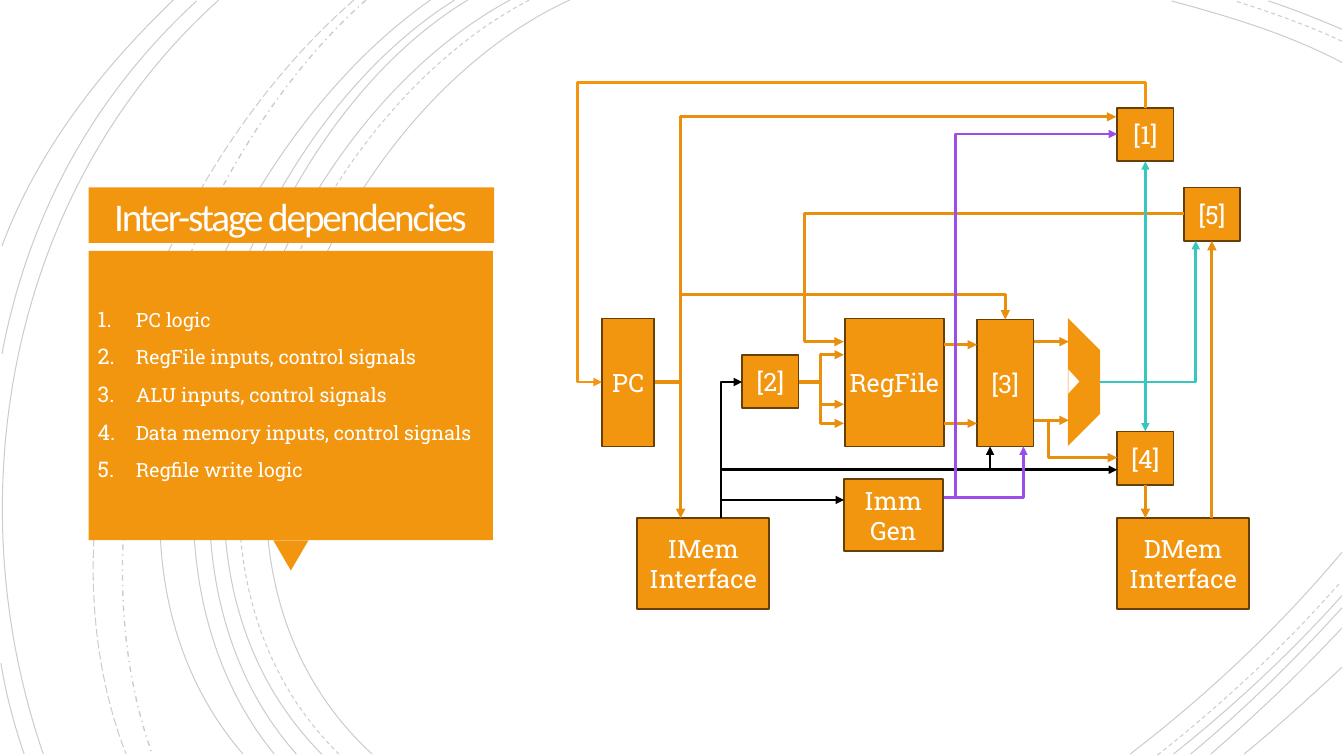
from lxml.etree import SubElement
from pptx import Presentation
from pptx.dml.color import RGBColor
from pptx.enum.dml import MSO_LINE as DASH
from pptx.enum.shapes import MSO_CONNECTOR as CONNECTOR, MSO_SHAPE as SHAPE
from pptx.enum.text import MSO_ANCHOR as ANCHOR, PP_ALIGN as ALIGN
from pptx.oxml.ns import qn
from pptx.util import Pt

PX = 9144  # 100 px to the inch
ORANGE, WIRE, EDGE = "F3960F", "E88F0E", "663F07"
BLACK, PURPLE, TEAL, WHITE = "000000", "9D4DE7", "39C6BE", "FFFFFF"

# Backdrop arcs: start, two control points, end
ARCS = {
    (DASH.SOLID, 0.75): [
        ((565, 0), (315, 115), (143, 540), (369, 748)),
        ((1331, 62), (1278, 34), (1218, 16), (1162, 1)),
        ((1121, 748), (1197, 690), (1269, 622), (1331, 548)),
        ((506, 0), (270, 127), (110, 537), (319, 748)),
        ((1331, 29), (1307, 19), (1283, 9), (1258, 1)),
        ((1164, 748), (1223, 701), (1280, 648), (1331, 591)),
        ((464, 0), (244, 133), (110, 541), (294, 748)),
        ((1181, 748), (1234, 704), (1284, 655), (1331, 603)),
        ((451, 0), (231, 138), (97, 533), (272, 748)),
        ((1201, 748), (1246, 709), (1290, 667), (1331, 623)),
        ((427, 0), (217, 147), (53, 529), (241, 748)),
        ((1234, 748), (1267, 721), (1299, 692), (1331, 662)),
        ((217, 0), (11, 185), (-46, 490), (43, 748)),
        ((195, 1), (92, 96), (28, 214), (2, 351)),
        ((1, 658), (6, 689), (14, 719), (24, 748)),
        ((172, 0), (100, 69), (37, 150), (2, 244)),
    ],
    (DASH.DASH, 0.75): [
        ((525, 0), (285, 125), (123, 537), (336, 748)),
        ((1331, 41), (1297, 25), (1260, 12), (1225, 1)),
        ((1148, 749), (1213, 698), (1275, 640), (1330, 577)),
    ],
    (DASH.DASH_DOT, 1): [((363, 0), (176, 166), (65, 509), (151, 748))],
    (DASH.LONG_DASH, 0.75): [((351, 0), (157, 169), (29, 499), (125, 748))],
}

# Datapath blocks: label, left, top, width, height
BLOCKS = [
    ("PC", 27, 236, 52, 127), ("IMem Interface", 62, 434, 131, 90),
    ("RegFile", 268, 236, 98, 127), ("Imm\nGen", 267, 395, 98, 72),
    ("DMem Interface", 538, 434, 131, 90), ("[1]", 538, 27, 56, 53),
    ("[2]", 166, 272, 56, 53), ("[3]", 399, 237, 56, 126),
    ("[4]", 538, 348, 56, 53), ("[5]", 604, 106, 56, 53),
]

# Datapath wires by colour and width: corner points of each
WIRES = {
    (WIRE, 2.25): [
        [(80, 299), (105, 299), (105, 434)],
        *[[(222, 299), (244, 299), (244, y), (267, y)] for y in (272, 321, 340)],
        *[[(366, y), (399, y)] for y in (262, 340)],
        *[[(456, y), (490, y)] for y in (259, 337)],
        [(105, 299), (105, 212), (427, 212), (427, 237)],
        [(604, 132), (228, 132), (228, 259), (267, 259)],
        [(456, 337), (470, 337), (470, 374), (538, 374)],
        [(105, 212), (105, 36), (537, 36)],
    ],
    (ORANGE, 2): [[(566, 27), (566, 2), (3, 2), (3, 299), (27, 299)]],
    (BLACK, 2): [
        [(145, 434), (145, 299), (166, 299)],
        [(145, 434), (145, 416), (267, 416)],
        [(145, 386), (412, 386), (412, 363)],
        [(412, 386), (538, 386)],
    ],
    (PURPLE, 2): [
        [(366, 414), (445, 414), (445, 363)],
        [(378, 414), (378, 53), (538, 53)],
    ],
    (TEAL, 2): [
        [(521, 299), (566, 299), (566, 348)],
        [(521, 299), (616, 299), (616, 159)],
    ],
}


def px(*lengths):
    return [round(length * PX) for length in lengths]


def rgb(code):
    return RGBColor.from_string(code)


def write(shape, text, size=18, font="Roboto Slab", color=WHITE, align=ALIGN.CENTER,
          inset=None, before=0, spacing=None, tracking=None, numbered=False):
    frame = shape.text_frame
    frame.word_wrap = True
    frame.vertical_anchor = ANCHOR.MIDDLE
    if inset is not None:
        frame.margin_left = frame.margin_top = inset * PX
        frame.margin_right = frame.margin_bottom = inset * PX
    frame.text = text
    for para in frame.paragraphs:
        para.alignment, para.space_before, para.line_spacing = align, Pt(before), spacing
        run = para.runs[0]
        run.font.size, run.font.name, run.font.color.rgb = Pt(size), font, rgb(color)
        if tracking:
            run.font._element.set("spc", str(tracking))
        if numbered:
            props = para._p.get_or_add_pPr()
            props.set("marL", str(38 * PX))
            props.set("indent", str(-38 * PX))
            SubElement(SubElement(props, qn("a:buClr")), qn("a:srgbClr"), val=color)
            SubElement(props, qn("a:buSzPct"), val="110000")
            SubElement(props, qn("a:buFont"), typeface="+mj-lt")
            SubElement(props, qn("a:buAutoNum"), type="arabicPeriod")


def block(slide, kind, left, top, width, height, fill=ORANGE, edge=None, turn=0):
    shape = slide.shapes.add_shape(kind, *px(left, top, width, height))
    shape.shadow.inherit = False
    shape.rotation = turn
    shape.fill.solid()
    shape.fill.fore_color.rgb = rgb(fill)
    if edge:
        shape.line.color.rgb, shape.line.width = rgb(edge), Pt(1.25)
    else:
        shape.line.fill.background()
    return shape


def wire(slide, corners, color, width):
    (x0, y0), (x1, y1) = corners[0], corners[-1]
    bends = len(corners) - 2
    upright = bends and corners[1][0] == x0
    start, end = (x0, y0), (x1, y1)
    if upright:  # an elbow that leaves vertically is a horizontal one turned by 90°
        mid_x, mid_y, run, rise = (x0 + x1) / 2, (y0 + y1) / 2, y1 - y0, x0 - x1
        start = mid_x - run / 2, mid_y - rise / 2
        end = mid_x + run / 2, mid_y + rise / 2
    kind = CONNECTOR.ELBOW if bends else CONNECTOR.STRAIGHT
    line = slide.shapes.add_connector(kind, *px(*start, *end))
    line.line.color.rgb, line.line.width = rgb(color), Pt(width)
    props = line._element.spPr
    if upright:
        props.find(qn("a:xfrm")).set("rot", "5400000")
    if bends:
        geometry = props.find(qn("a:prstGeom"))
        geometry.set("prst", f"bentConnector{bends + 1}")
        guides = geometry.find(qn("a:avLst"))
        for i in range(1, bends):
            axis = (i - 1 + bool(upright)) % 2
            share = (corners[i + axis * 0][axis] - corners[0][axis]) / (corners[-1][axis] - corners[0][axis])
            SubElement(guides, qn("a:gd"), name=f"adj{i}", fmla=f"val {round(share * 100000)}")
    SubElement(props.find(qn("a:ln")), qn("a:tailEnd"), type="triangle")
    SubElement(props, qn("a:effectLst"))
    return line


def backdrop(slide):
    for (dash, width), arcs in ARCS.items():
        for start, *rest in arcs:
            builder = slide.shapes.build_freeform(*start, scale=PX)
            builder.add_line_segments(rest, close=False)
            arc = builder.convert_to_shape()
            arc.shadow.inherit = False
            arc.fill.background()
            arc.line.color.rgb, arc.line.width = rgb(BLACK), Pt(width)
            arc.line.dash_style = dash
            tint = next(arc.line._ln.iter(qn("a:srgbClr")))
            SubElement(tint, qn("a:alpha"), val="20000")
            # Turn the three segments into one curve
            outline = next(arc._element.iter(qn("a:path")))
            segments = outline.findall(qn("a:lnTo"))
            curve = SubElement(outline, qn("a:cubicBezTo"))
            for segment in segments:
                curve.append(segment[0])
                outline.remove(segment)


def topic_panel(slide, left, top):
    block(slide, SHAPE.RECTANGLE, left, top, 402, 55)
    block(slide, SHAPE.ISOSCELES_TRIANGLE, left + 183, top + 350, 35, 30, turn=180)
    block(slide, SHAPE.RECTANGLE, left, top + 63, 401, 287)
    topics = slide.shapes.add_textbox(*px(left - 1, top + 61, 402, 289))
    write(topics, "PC logic\nRegFile inputs, control signals\nALU inputs, control signals\n"
          "Data memory inputs, control signals\nRegfile write logic",
          size=14, align=ALIGN.LEFT, before=10, numbered=True)
    title = slide.shapes.title
    title.left, title.top, title.width, title.height = px(left - 1, top + 2, 402, 60)
    write(title, "Inter-stage dependencies", size=28, font="Calibri", color="FFFEFF",
          inset=25, spacing=0.85, tracking=-150)
    slide.shapes._spTree.append(title._element)  # in front of its bar


def datapath(slide, left, top):
    blocks = {}
    for label, x, y, width, height in BLOCKS:
        blocks[label] = block(slide, SHAPE.RECTANGLE, left + x, top + y, width, height, edge=EDGE)
        write(blocks[label], label, inset=None if "Interface" in label else 4)

    # ALU with its notch
    alu = block(slide, SHAPE.DIAGONAL_STRIPE, left + 444, top + 254, 90, 90, turn=135)
    alu.adjustments[0] = 0.496
    block(slide, SHAPE.ISOSCELES_TRIANGLE, left + 483, top + 293, 24, 11, fill=WHITE, turn=90)

    def route(corners, color, width):
        return wire(slide, [(left + x, top + y) for x, y in corners], color, width)

    for (color, width), routes in WIRES.items():
        for corners in routes:
            route(corners, color, width)
    # Wires that meet the middle of a side
    route([(566, 401), (566, 434)], WIRE, 2.25).begin_connect(blocks["[4]"], 2)
    route([(632, 434), (632, 159)], WIRE, 2.25).end_connect(blocks["[5]"], 2)
    route([(566, 299), (566, 80)], TEAL, 2).end_connect(blocks["[1]"], 2)


def main():
    deck = Presentation()
    deck.slide_width, deck.slide_height = px(1333, 750)
    slide = deck.slides.add_slide(deck.slide_layouts[5])
    backdrop(slide)
    topic_panel(slide, 88, 186)
    datapath(slide, 570, 80)
    deck.save("out.pptx")


if __name__ == "__main__":
    main()
